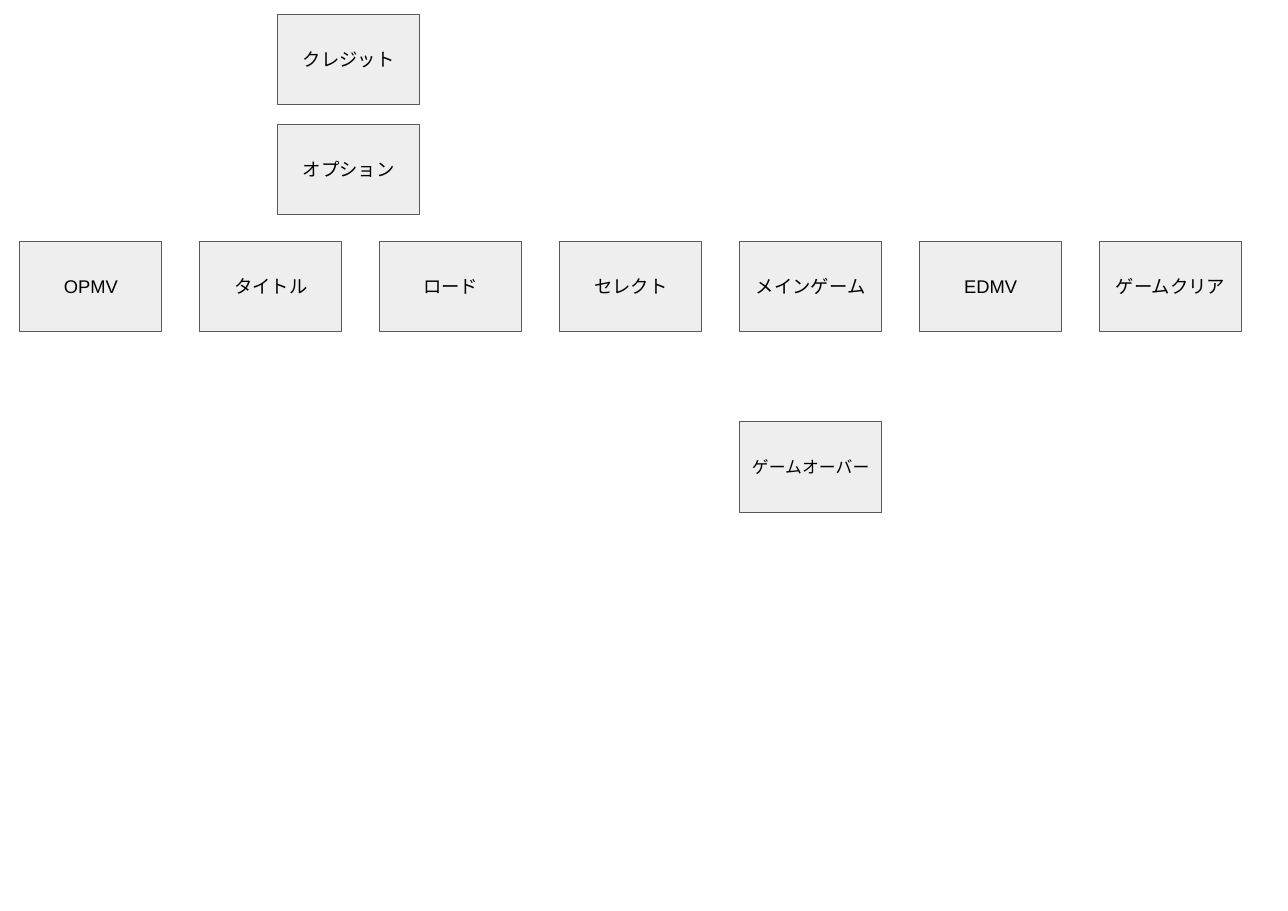
from pptx import Presentation
from pptx import util as u
from pptx.dml.color import RGBColor
from pptx.enum import shapes, text

COLOURS = {"fill": "EEEEEE", "line": "595959", "text": "000000"}
SCENES = ["OPMV", "タイトル", "ロード", "セレクト", "メインゲーム", "EDMV", "ゲームクリア"]
ROW_LEFT, ROW_TOP = 0.18, 2.19
PITCH = 9.8 / (len(SCENES) - 1)
MENU_LEFT = 2.52


def colour(name):
    return RGBColor.from_string(COLOURS[name])


def write(frame, words, size=12, font="Arial", ink="text", align=text.PP_ALIGN.CENTER):
    frame.word_wrap = True
    frame.vertical_anchor = text.MSO_ANCHOR.MIDDLE
    frame.margin_left = frame.margin_right = u.Inches(0.1)
    frame.margin_top = frame.margin_bottom = u.Inches(0.1)
    para = frame.paragraphs[0]
    para.alignment = align
    span = para.add_run()
    span.text = words
    span.font.size = u.Pt(size)
    span.font.name = font
    span.font.color.rgb = colour(ink)


class SceneMap:
    """Draws the boxes of a game's scene map on one page."""

    width, height = 1.29, 0.82

    def __init__(self, page):
        self.page = page

    def scene(self, words, left, top, **style):
        box = self.page.shapes.add_shape(
            shapes.MSO_SHAPE.RECTANGLE, u.Inches(left), u.Inches(top),
            u.Inches(self.width), u.Inches(self.height))
        box.shadow.inherit = False
        box.fill.solid()
        box.fill.fore_color.rgb = colour("fill")
        box.line.color.rgb = colour("line")
        box.line.width = u.Pt(0.75)
        write(box.text_frame, words, **style)


def main():
    deck = Presentation()
    deck.slide_width, deck.slide_height = u.Inches(11.69), u.Inches(8.27)
    scene_map = SceneMap(deck.slides.add_slide(deck.slide_layouts[6]))

    scene_map.scene("クレジット", MENU_LEFT, 0.13)
    scene_map.scene("オプション", MENU_LEFT, 1.13)
    for column, words in enumerate(SCENES):
        scene_map.scene(words, ROW_LEFT + column * PITCH, ROW_TOP)
    game_left = ROW_LEFT + SCENES.index("メインゲーム") * PITCH
    scene_map.scene("ゲームオーバー", game_left, 3.83, size=11)

    deck.save("out.pptx")


if __name__ == "__main__":
    main()
